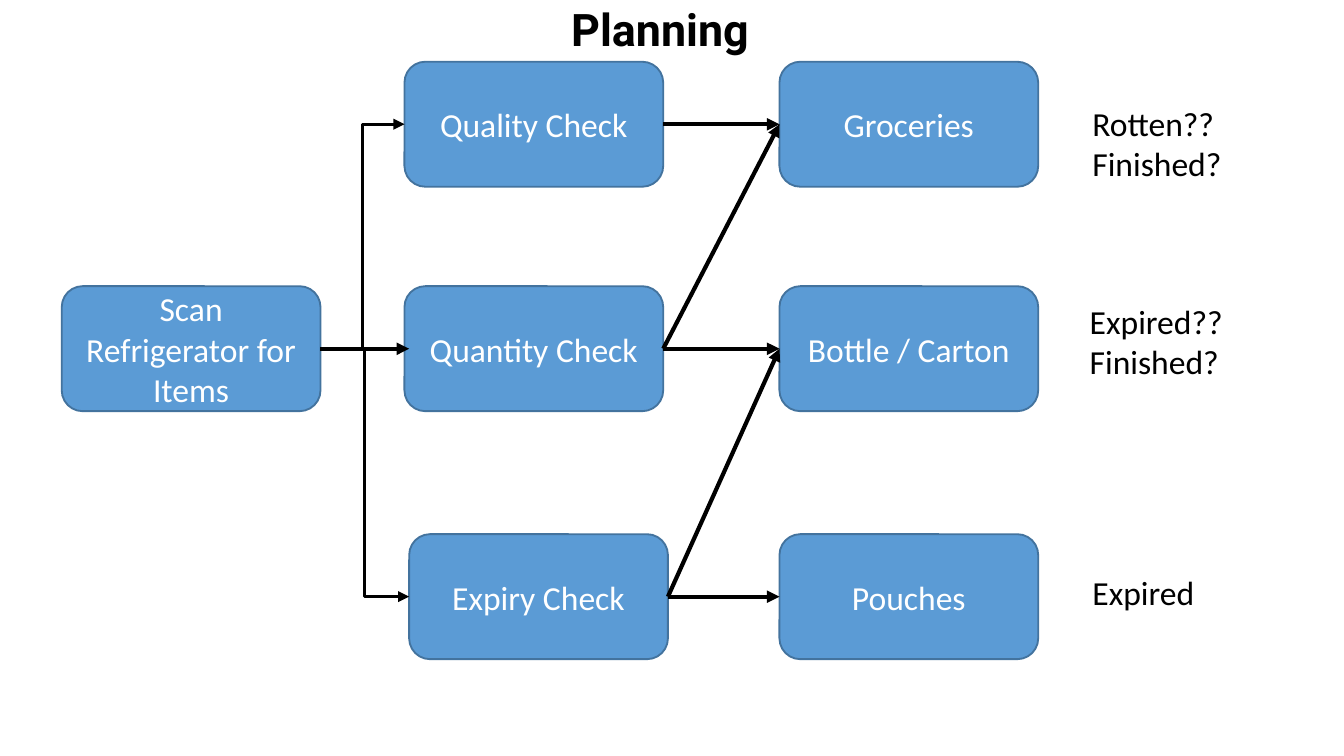
from dataclasses import dataclass

from lxml import etree
from pptx import Presentation
from pptx import util as u
from pptx.dml.color import RGBColor
from pptx.enum import shapes, text
from pptx.oxml.ns import qn

PX = 4572  # EMU per px, 200 px to the inch


@dataclass(frozen=True)
class Theme:
    fill: str = "5B9BD5"
    outline: str = "43739E"
    ink: str = "000000"
    light: str = "FFFFFF"
    body_font: str = "Calibri"
    title_font: str = "Roboto"
    body_size: int = 18
    title_size: int = 24
    outline_width: float = 1
    arrow_width: float = 2.25
    branch_width: float = 1.5


@dataclass(frozen=True)
class Step:
    label: str
    left: int
    top: int


@dataclass(frozen=True)
class Note:
    label: str
    left: int
    top: int
    height: int


THEME = Theme()
STEP_W, STEP_H = 385, 186
NOTE_W = 266
ROWS = (92, 426, 795)
RIGHT, LEFT = 3, 1  # connection sites

STEPS = {
    "scan": Step("Scan Refrigerator for Items", 92, ROWS[1]),
    "quality": Step("Quality Check", 602, ROWS[0]),
    "quantity": Step("Quantity Check", 602, ROWS[1]),
    "expiry": Step("Expiry Check", 609, ROWS[2]),
    "groceries": Step("Groceries", 1160, ROWS[0]),
    "bottle": Step("Bottle / Carton", 1160, ROWS[1]),
    "pouches": Step("Pouches", 1160, ROWS[2]),
}
FLOWS = (
    ("quality", "groceries"),
    ("quantity", "groceries"),
    ("quantity", "bottle"),
    ("expiry", "bottle"),
    ("expiry", "pouches"),
)
BRANCHES = (("scan", "quality"), ("scan", "expiry"))
NOTES = (
    Note("Rotten??\nFinished?", 1606, 143, 141),
    Note("Expired??\nFinished?", 1602, 438, 141),
    Note("Expired", 1606, 841, 80),
)


def px(*values: int) -> list:
    return [u.Emu(v * PX) for v in values]


def write(tf, content: str, *, color: str = THEME.ink, font: str = THEME.body_font,
          size: int = THEME.body_size, bold: bool = False,
          align=text.PP_ALIGN.LEFT, anchor=text.MSO_ANCHOR.TOP) -> None:
    tf.word_wrap = True
    tf.vertical_anchor = anchor
    tf.text = content
    for p in tf.paragraphs:
        p.alignment = align
        for r in p.runs:
            r.font.name, r.font.size, r.font.bold = font, u.Pt(size), bold
            r.font.color.rgb = RGBColor.from_string(color)


def add_step(s, step: Step):
    sp = s.shapes.add_shape(shapes.MSO_SHAPE.ROUNDED_RECTANGLE,
                            *px(step.left, step.top, STEP_W, STEP_H))
    sp.shadow.inherit = False
    sp.fill.solid()
    sp.fill.fore_color.rgb = RGBColor.from_string(THEME.fill)
    sp.line.color.rgb = RGBColor.from_string(THEME.outline)
    sp.line.width = u.Pt(THEME.outline_width)
    write(sp.text_frame, step.label, color=THEME.light,
          align=text.PP_ALIGN.CENTER, anchor=text.MSO_ANCHOR.MIDDLE)
    return sp


def add_note(s, note: Note) -> None:
    sp = s.shapes.add_textbox(*px(note.left, note.top, NOTE_W, note.height))
    write(sp.text_frame, note.label)
    sp.text_frame.auto_size = text.MSO_AUTO_SIZE.SHAPE_TO_FIT_TEXT


def add_arrow(s, start, end, *, kind=shapes.MSO_CONNECTOR.STRAIGHT,
              width: float = THEME.arrow_width, overlap: int = 0) -> None:
    """Join two steps; an overlap carries the tip past the target's edge."""
    c = s.shapes.add_connector(kind, start.left + start.width, start.top + start.height // 2,
                               end.left + overlap * PX, end.top + end.height // 2)
    c.begin_connect(start, RIGHT)
    if not overlap:
        c.end_connect(end, LEFT)
    c.line.color.rgb = RGBColor.from_string(THEME.ink)
    c.line.width = u.Pt(width)
    etree.SubElement(c.line._get_or_add_ln(), qn("a:tailEnd"), type="triangle")
    etree.SubElement(c._element.spPr, qn("a:effectLst"))


def main() -> None:
    prs = Presentation()
    prs.slide_width, prs.slide_height = px(2000, 1125)
    s = prs.slides.add_slide(prs.slide_layouts[5])

    # Title
    title = s.shapes.title
    title.left, title.top, title.width, title.height = px(830, -8, 392, 100)
    write(title.text_frame, "Planning", font=THEME.title_font,
          size=THEME.title_size, bold=True)
    title.text_frame.auto_size = text.MSO_AUTO_SIZE.NONE

    # Steps
    boxes = {key: add_step(s, step) for key, step in STEPS.items()}

    # Arrows between steps
    for start, end in FLOWS:
        add_arrow(s, boxes[start], boxes[end])
    add_arrow(s, boxes["scan"], boxes["quantity"], overlap=7)
    for start, end in BRANCHES:
        add_arrow(s, boxes[start], boxes[end], kind=shapes.MSO_CONNECTOR.ELBOW,
                  width=THEME.branch_width)

    # Notes beside the last column
    for note in NOTES:
        add_note(s, note)

    prs.save("out.pptx")


if __name__ == "__main__":
    main()
